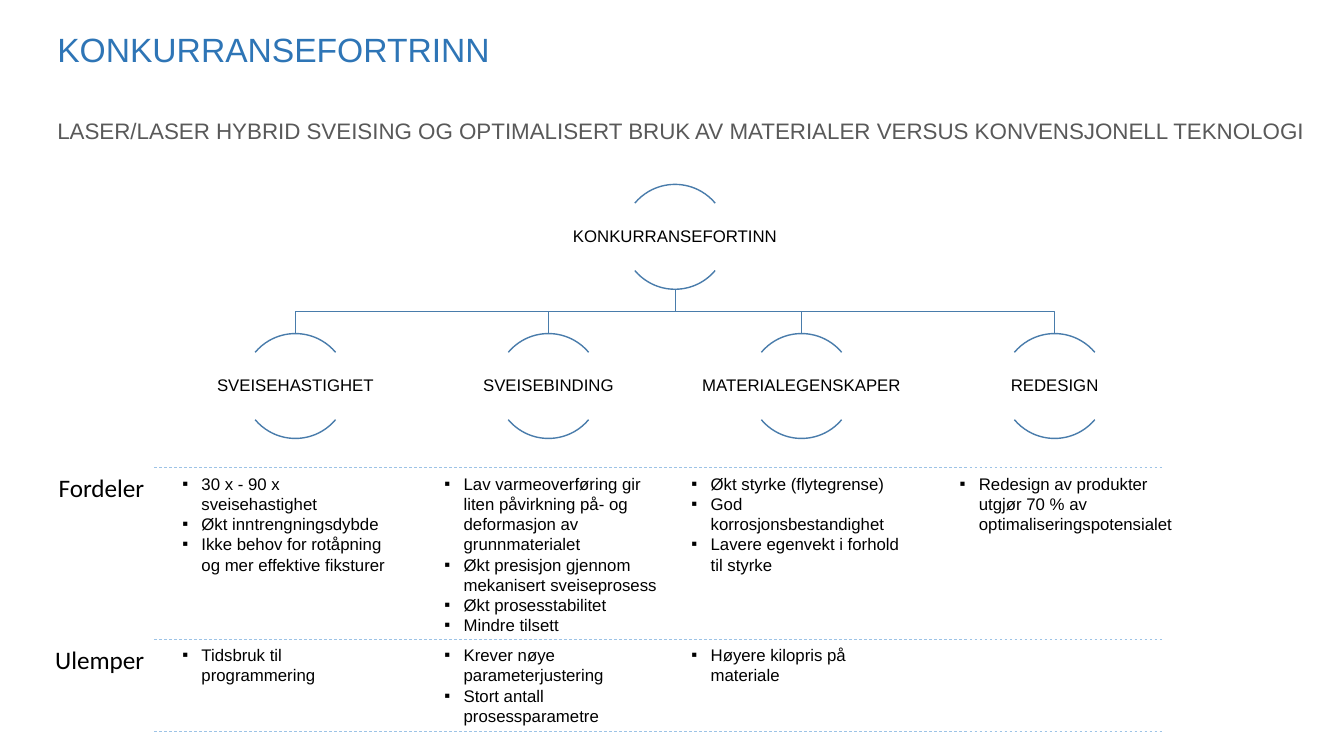
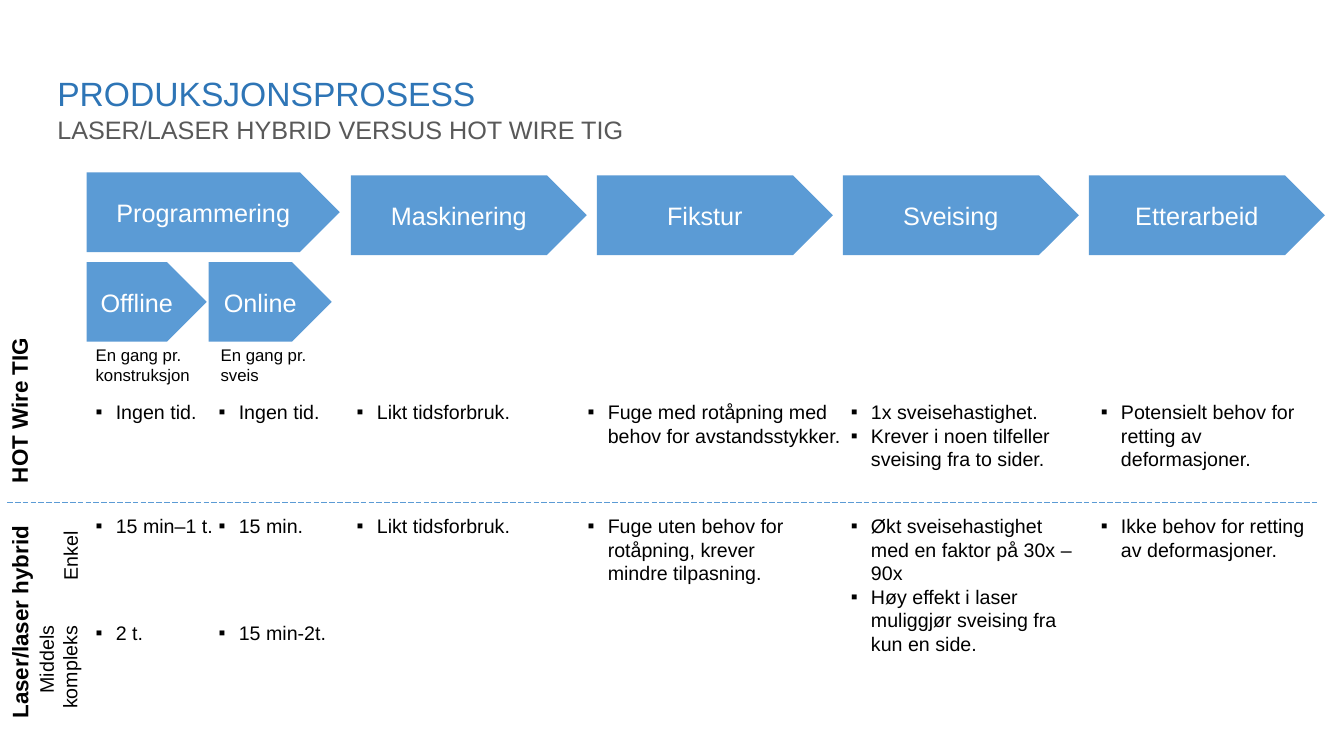
from lxml import etree
from pptx import Presentation, util as u
from pptx.dml.color import RGBColor
from pptx.enum import dml, shapes, text
from pptx.oxml import ns

PX = 9144
TITLE_BLUE, SUBTITLE_GREY, BLACK, WHITE = "2E75B6", "595959", "000000", "FFFFFF"
TREE_BLUE, RULE_BLUE, ARROW_BLUE = "497CAB", "9DC3E6", "5B9BD5"
LEFT, CENTER, RIGHT = text.PP_ALIGN.LEFT, text.PP_ALIGN.CENTER, text.PP_ALIGN.RIGHT
TOP, MIDDLE, BOTTOM = text.MSO_ANCHOR.TOP, text.MSO_ANCHOR.MIDDLE, text.MSO_ANCHOR.BOTTOM
ARC_TOP, ARC_BOTTOM = (132, 192), (24, 84)

BENEFITS = [
    (171, 227, "SVEISEHASTIGHET",
     ["30 x - 90 x sveisehastighet", "Økt inntrengningsdybde",
      "Ikke behov for rotåpning og mer effektive fiksturer"],
     ["Tidsbruk til programmering"]),
    (431, 235, "SVEISEBINDING",
     ["Lav varmeoverføring gir liten påvirkning på- og deformasjon av grunnmaterialet",
      "Økt presisjon gjennom mekanisert sveiseprosess",
      "Økt prosesstabilitet", "Mindre tilsett"],
     ["Krever nøye parameterjustering", "Stort antall prosessparametre"]),
    (676, 235, "MATERIALEGENSKAPER",
     ["Økt styrke (flytegrense)", "God korrosjonsbestandighet",
      "Lavere egenvekt i forhold til styrke"],
     ["Høyere kilopris på materiale"]),
    (942, 235, "REDESIGN",
     ["Redesign av produkter utgjør 70 % av optimaliseringspotensialet"], []),
]

PROCESS_CELLS = [
    (85, 392, 160, ["Ingen tid."]),
    (207, 392, 135, ["Ingen tid."]),
    (344, 392, 237, ["Likt tidsforbruk."]),
    (573, 392, 288, ["Fuge med rotåpning med behov for avstandsstykker."]),
    (834, 392, 253, ["1x sveisehastighet.", "Krever i noen tilfeller sveising fra to sider."]),
    (1082, 392, 237, ["Potensielt behov for retting av deformasjoner."]),
    (85, 505, 160, ["15 min–1 t."]),
    (207, 505, 135, ["15 min."]),
    (344, 505, 237, ["Likt tidsforbruk."]),
    (573, 505, 237, ["Fuge uten behov for rotåpning, krever mindre tilpasning."]),
    (834, 505, 253, ["Økt sveisehastighet med en faktor på 30x – 90x",
                     "Høy effekt i laser muliggjør sveising fra kun en side."]),
    (1082, 505, 237, ["Ikke behov for retting av deformasjoner."]),
    (85, 611, 120, ["2 t."]),
    (207, 611, 135, ["15 min-2t."]),
]

SIDE_LABELS = [
    ((-64, 390, 166, 37), "HOT Wire TIG", 16, True),
    ((-99, 612, 237, 37), "Laser/laser hybrid", 16, True),
    ((-12, 652, 139, 57), "Middels kompleks", 14, False),
    ((28, 542, 84, 34), "Enkel", 14, False),
]


def emu(*lengths):
    """Turn px lengths into EMU."""
    return [u.Emu(round(length * PX)) for length in lengths]


def rgb(color):
    """Turn a hex string into a colour."""
    return RGBColor.from_string(color)


def style_line(line, color, points, dash=None):
    """Give a line its colour, width and dash."""
    line.color.rgb = rgb(color)
    line.width = u.Pt(points)
    if dash:
        line.dash_style = dash


def add_bullet(paragraph, indent):
    """Give a paragraph a square bullet with a hanging indent."""
    properties = paragraph._p.get_or_add_pPr()
    properties.set("marL", str(indent * PX))
    properties.set("indent", str(-indent * PX))
    etree.SubElement(properties, ns.qn("a:buFont")).set("typeface", "Arial")
    etree.SubElement(properties, ns.qn("a:buChar")).set("char", "▪")


def write(shape, lines, size=12, color=BLACK, font="Arial", bold=False, align=LEFT,
          anchor=TOP, spacing=None, bullet=0, inset=None):
    """Write formatted paragraphs into a shape."""
    frame = shape.text_frame
    frame.word_wrap = True
    frame.vertical_anchor = anchor
    if inset is not None:
        (frame.margin_left, frame.margin_top,
         frame.margin_right, frame.margin_bottom) = emu(*[inset] * 4)
    for index, line in enumerate(lines):
        paragraph = frame.paragraphs[0] if index == 0 else frame.add_paragraph()
        paragraph.alignment = align
        if spacing:
            paragraph.line_spacing = spacing
        if bullet:
            add_bullet(paragraph, bullet)
        run = paragraph.add_run()
        run.text = line
        run.font.name, run.font.size, run.font.bold = font, u.Pt(size), bold
        run.font.color.rgb = rgb(color)


def add_text(slide, box, lines, rotation=0, **style):
    """Add a text box with formatted text."""
    label = slide.shapes.add_textbox(*emu(*box))
    label.rotation = rotation
    write(label, lines, **style)


def add_rule(slide, x, y, width, color, dash):
    """Draw a dashed horizontal rule."""
    rule = slide.shapes.add_connector(shapes.MSO_CONNECTOR.STRAIGHT, *emu(x, y, x + width, y))
    style_line(rule.line, color, 0.5, dash)
    etree.SubElement(rule._element.spPr, ns.qn("a:effectLst"))


def add_heading(slide, title_box, title, subtitle_box, subtitle, subtitle_size):
    """Place the title and the subtitle."""
    add_text(slide, title_box, [title], size=24, color=TITLE_BLUE, anchor=BOTTOM, spacing=0.9)
    add_text(slide, subtitle_box, [subtitle], size=subtitle_size, color=SUBTITLE_GREY,
             anchor=BOTTOM)


def add_node(slide, center, top, label):
    """Draw a tree node: two arcs around a label."""
    for start, end in (ARC_TOP, ARC_BOTTOM):
        arc = slide.shapes.add_shape(shapes.MSO_SHAPE.ARC, *emu(center - 52, top, 104, 104))
        arc.shadow.inherit = False
        arc.fill.background()
        arc.adjustments[0], arc.adjustments[1] = start, end
        style_line(arc.line, TREE_BLUE, 1)
    add_text(slide, (center - 104, top + 19, 208, 66), [label], align=CENTER, anchor=MIDDLE,
             spacing=0.9, inset=1)


def add_tree(slide, left, top, pitch, root, leaves):
    """Draw the root node above its evenly spaced leaves."""
    center = left + pitch * (len(leaves) - 1) / 2
    root_foot, leaf_top = top + 104, top + 148
    bend = (root_foot + leaf_top) / 2
    for index, leaf in enumerate(leaves):
        x = left + index * pitch
        outline = slide.shapes.build_freeform(center, root_foot, scale=PX)
        outline.add_line_segments([(center, bend), (x, bend), (x, leaf_top)], close=False)
        branch = outline.convert_to_shape()
        branch.shadow.inherit = False
        branch.fill.background()
        style_line(branch.line, TREE_BLUE, 1)
        add_node(slide, x, leaf_top, leaf)
    add_node(slide, center, top, root)


def add_benefit_row(slide, top, label, cells):
    """Place a row label and its bulleted cells under a rule."""
    add_rule(slide, 153, top, 1000, RULE_BLUE, dml.MSO_LINE.DASH)
    add_text(slide, (35, top, 118, 40), [label], size=18, font="Calibri", align=RIGHT)
    for left, width, lines in cells:
        if lines:
            add_text(slide, (left, top + 1, width, 20 * len(lines) + 30), lines, bullet=19)


def add_arrow(slide, box, label):
    """Draw a process arrow with its label."""
    arrow = slide.shapes.add_shape(shapes.MSO_SHAPE.PENTAGON, *emu(*box))
    arrow.shadow.inherit = False
    arrow.fill.solid()
    arrow.fill.fore_color.rgb = rgb(ARROW_BLUE)
    arrow.line.fill.background()
    write(arrow, [label], size=18, color=WHITE, align=CENTER, anchor=MIDDLE)


def add_process_arrows(slide, left, top):
    """Place the process steps and the two programming stages."""
    add_arrow(slide, (left, top, 251, 79), "Programmering")
    for index, step in enumerate(["Maskinering", "Fikstur", "Sveising", "Etterarbeid"]):
        add_arrow(slide, (left + 262 + index * 244, top + 3, 234, 79), step)
    stages = [(0, 119, "Offline", "En gang pr. konstruksjon"),
              (121, 122, "Online", "En gang pr. sveis")]
    for offset, width, stage, frequency in stages:
        add_arrow(slide, (left + offset, top + 89, width, 79), stage)
        add_text(slide, (left + offset + (2 if offset else -1), top + 166, 114, 50), [frequency])


def build_advantages(slide):
    """Build the slide on competitive advantages."""
    add_heading(slide, (47, 0, 984, 74), "KONKURRANSEFORTRINN", (47, 117, 1270, 31),
                "LASER/LASER HYBRID SVEISING OG OPTIMALISERT BRUK AV MATERIALER "
                "VERSUS KONVENSJONELL TEKNOLOGI", 16)
    add_tree(slide, 293, 183, 251, "KONKURRANSEFORTINN", [leaf for _, _, leaf, _, _ in BENEFITS])
    add_benefit_row(slide, 464, "Fordeler", [(x, w, pros) for x, w, _, pros, _ in BENEFITS])
    add_benefit_row(slide, 634, "Ulemper", [(x, w, cons) for x, w, _, _, cons in BENEFITS])
    add_rule(slide, 153, 726, 1000, RULE_BLUE, dml.MSO_LINE.DASH)


def build_process(slide):
    """Build the slide on the production process."""
    add_heading(slide, (47, 0, 850, 118), "PRODUKSJONSPROSESS", (47, 122, 850, 26),
                "LASER/LASER HYBRID VERSUS HOT WIRE TIG", 18)
    add_process_arrows(slide, 86, 171)
    for box, label, size, bold in SIDE_LABELS:
        add_text(slide, box, [label], rotation=270, size=size, bold=bold, align=RIGHT)
    for left, top, width, lines in PROCESS_CELLS:
        add_text(slide, (left, top, width, 34), lines, size=14, bullet=20)
    add_rule(slide, 7, 498, 1300, ARROW_BLUE, dml.MSO_LINE.LONG_DASH)


def main():
    """Build and save the presentation."""
    deck = Presentation()
    deck.slide_width, deck.slide_height = emu(1333, 750)
    for build in (build_advantages, build_process):
        build(deck.slides.add_slide(deck.slide_layouts[6]))
    deck.save("out.pptx")


if __name__ == "__main__":
    main()
